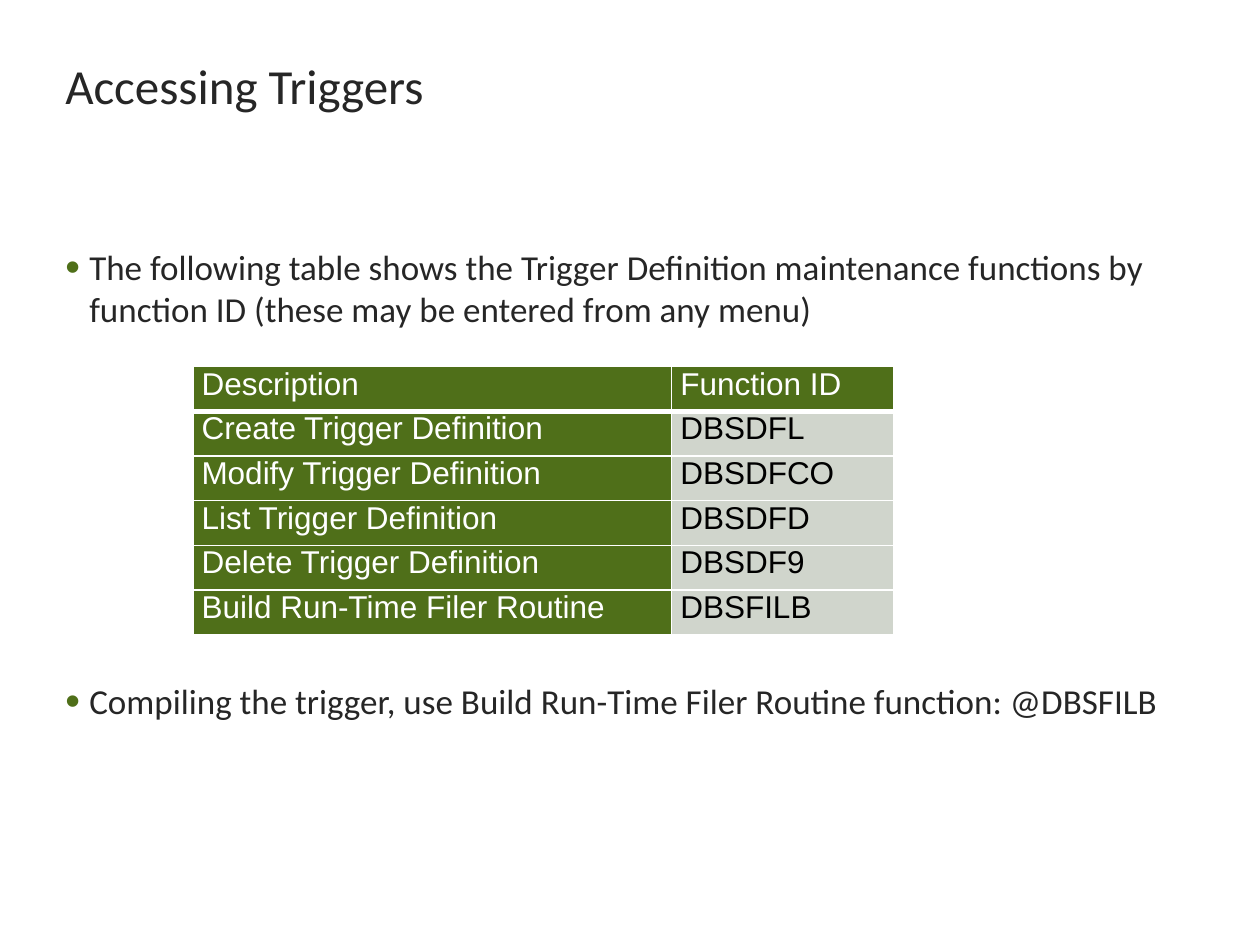
"""Build the "Accessing Triggers" slide with its table of function IDs."""
from dataclasses import dataclass

from lxml import etree
from pptx import Presentation
from pptx import util as u
from pptx.dml.color import RGBColor
from pptx.enum import text
from pptx.oxml import ns


@dataclass(frozen=True)
class Theme:
    ink: str = "262626"
    green: str = "4F6F19"
    pale: str = "D0D5CC"
    white: str = "FFFFFF"
    black: str = "000000"
    body_font: str = "Calibri"
    table_font: str = "Arial"
    title_size: int = 28
    body_size: int = 20
    table_size: int = 18


theme = Theme()


def style(para, name, size, color):
    for span in para.runs:
        span.font.name = name
        span.font.size = u.Pt(size)
        span.font.color.rgb = RGBColor.from_string(color)


def add_border(cell, side, points):
    line = etree.SubElement(cell._tc.get_or_add_tcPr(), ns.qn(f"a:{side}"), w=str(u.Pt(points)))
    fill = etree.SubElement(line, ns.qn("a:solidFill"))
    etree.SubElement(fill, ns.qn("a:srgbClr"), val=theme.white)


deck = Presentation()
deck.slide_width, deck.slide_height = u.Inches(10), u.Inches(7.5)
page = deck.slides.add_slide(deck.slide_layouts[6])

title = page.shapes.add_textbox(u.Inches(0.42), u.Inches(0.21), u.Inches(6.67), u.Inches(0.92))
title.text_frame.word_wrap = True
title.text_frame.vertical_anchor = text.MSO_ANCHOR.MIDDLE
title.text_frame.text = "Accessing Triggers"
style(title.text_frame.paragraphs[0], theme.body_font, theme.title_size, theme.ink)

body = page.shapes.add_textbox(u.Inches(0.42), u.Inches(1.9), u.Inches(9.08), u.Inches(4.85))
body.text_frame.word_wrap = True
body.text_frame.text = "\n".join([
    "The following table shows the Trigger Definition maintenance functions by "
    "function ID (these may be entered from any menu)",
    "Compiling the trigger, use Build Run-Time Filer Routine function: @DBSFILB",
])
for para, gap in zip(body.text_frame.paragraphs, (0, 200)):
    para.space_before = u.Pt(gap)
    props = para._p.get_or_add_pPr()
    props.set("marL", str(u.Inches(0.19)))
    props.set("indent", str(-u.Inches(0.19)))
    bullet_color = etree.SubElement(props, ns.qn("a:buClr"))
    etree.SubElement(bullet_color, ns.qn("a:srgbClr"), val=theme.green)
    etree.SubElement(props, ns.qn("a:buSzPct"), val="120000")
    etree.SubElement(props, ns.qn("a:buFont"), typeface=theme.table_font)
    etree.SubElement(props, ns.qn("a:buChar"), char="•")
    style(para, theme.body_font, theme.body_size, theme.ink)

functions = [
    ("Description", "Function ID"),
    ("Create Trigger Definition", "DBSDFL"),
    ("Modify Trigger Definition", "DBSDFCO"),
    ("List Trigger Definition", "DBSDFD"),
    ("Delete Trigger Definition", "DBSDF9"),
    ("Build Run-Time Filer Routine", "DBSFILB"),
]
table = page.shapes.add_table(
    len(functions), 2, u.Inches(1.53), u.Inches(2.91), u.Inches(5.56), u.Inches(2.13)
).table
for column, width in zip(table.columns, (3.8, 1.76)):
    column.width = u.Inches(width)

for row, entry in enumerate(functions):
    for col, label in enumerate(entry):
        cell = table.cell(row, col)
        is_header = row == 0 or col == 0
        cell.margin_left = cell.margin_right = u.Inches(0.07)
        cell.margin_top = cell.margin_bottom = 0
        for side in ("lnL", "lnR", "lnT", "lnB"):
            add_border(cell, side, 3 if row == 0 and side == "lnB" else 1)
        cell.fill.solid()
        cell.fill.fore_color.rgb = RGBColor.from_string(theme.green if is_header else theme.pale)
        cell.text_frame.text = label
        para = cell.text_frame.paragraphs[0]
        para.space_after = u.Pt(3)
        style(para, theme.table_font, theme.table_size, theme.white if is_header else theme.black)

deck.save("out.pptx")
